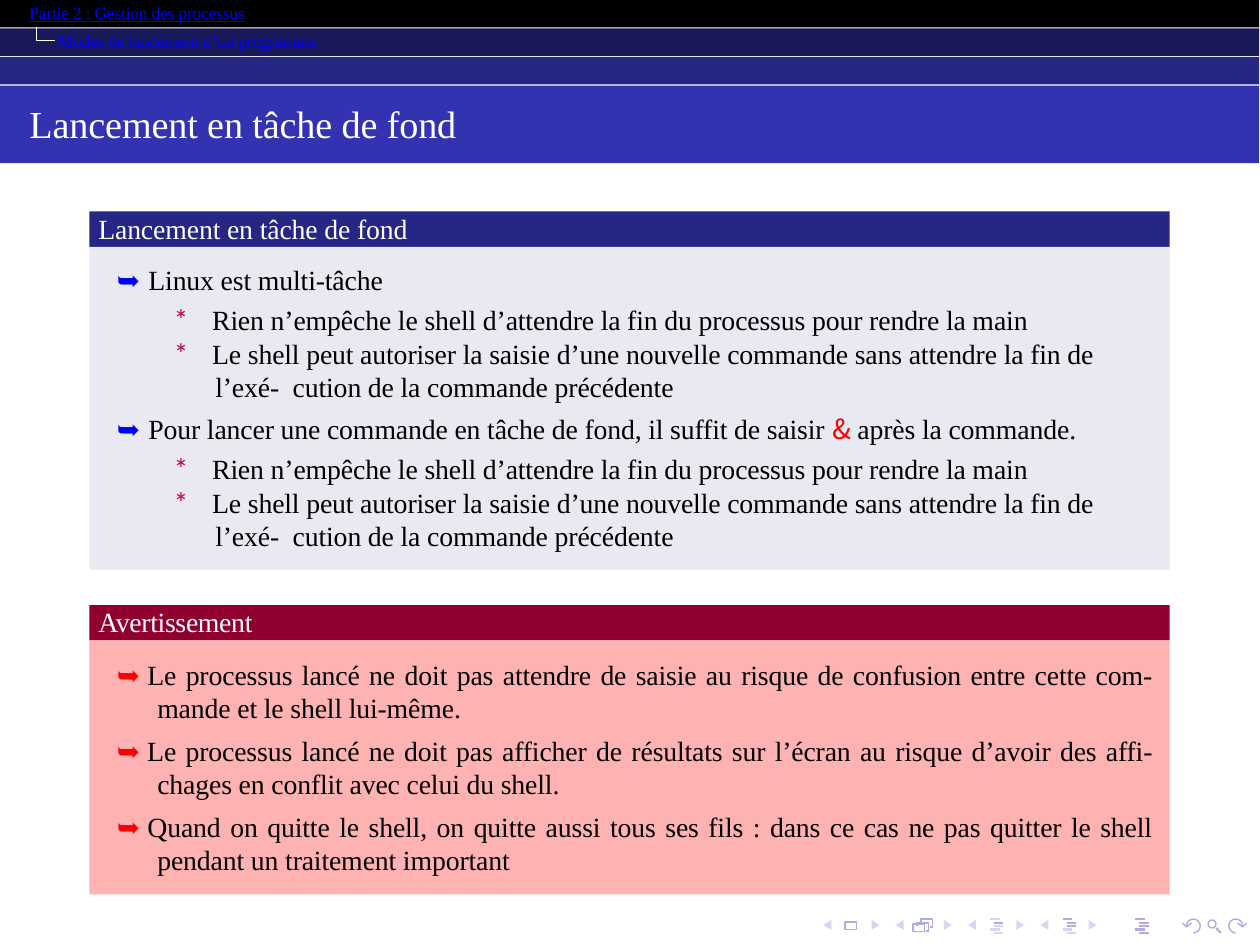
from math import cos, pi, sin

from lxml import etree
from pptx import Presentation
from pptx.dml.color import RGBColor
from pptx.enum.shapes import MSO_CONNECTOR, MSO_SHAPE
from pptx.enum.text import MSO_ANCHOR, PP_ALIGN
from pptx.oxml.ns import qn
from pptx.util import Cm, Pt

RECT, OVAL = MSO_SHAPE.RECTANGLE, MSO_SHAPE.OVAL
STRAIGHT = MSO_CONNECTOR.STRAIGHT
TOP = MSO_ANCHOR.TOP
LEFT, JUSTIFY = PP_ALIGN.LEFT, PP_ALIGN.JUSTIFY

NAV_DARK, NAV_LIGHT = "ADADE0", "D6D6EF"
SERIF, ARROW_FONT = "Times New Roman", "Noto Sans CJK JP"
# font, size, colour, letter spacing in hundredths of a point
STYLES = {
    "link": (SERIF, 5, "0000FF", -5),
    "title": (SERIF, 11, "FFFFFF", -5),
    "heading": (SERIF, 8, "FFFFFF", -5),
    "alert heading": (SERIF, 8, "FFFFFF", -10),
    "body": (SERIF, 8, "000000", -5),
    "blue arrow": (ARROW_FONT, 8, "0000FF", 25),
    "red arrow": (ARROW_FONT, 8, "FF0000", -60),
    "star": ("Lato", 8, "BF003F", 260),
    "ampersand": ("Noto Sans CJK KR", 8, "FF0000", 0),
}


def paint(sp, fill=None, line=None, width=0.4):
    sp.shadow.inherit = False
    if fill:
        sp.fill.solid()
        sp.fill.fore_color.rgb = RGBColor.from_string(fill)
    else:
        sp.fill.background()
    if line:
        sp.line.color.rgb = RGBColor.from_string(line)
        sp.line.width = Pt(width)
    else:
        sp.line.fill.background()


def write(sp, insets, paragraphs):
    """Fill sp with (runs, format) paragraphs; insets are left, top, right in cm."""
    tf = sp.text_frame
    tf.word_wrap = True
    tf.vertical_anchor = TOP
    tf.margin_left, tf.margin_top, tf.margin_right = [Cm(v) for v in insets]
    tf.margin_bottom = 0
    for i, (runs, fmt) in enumerate(paragraphs):
        p = tf.add_paragraph() if i else tf.paragraphs[0]
        p.alignment = fmt.get("align", LEFT)
        pPr = p._p.get_or_add_pPr()
        for name in ("marL", "indent"):
            pPr.set(name, str(Cm(fmt.get(name, 0))))
        for name in ("space_before", "line_spacing"):
            if name in fmt:
                setattr(p, name, Pt(fmt[name]))
        for text, style in runs:
            font, size, color, spacing = STYLES[style]
            r = p.add_run()
            r.text = text
            r.font.name, r.font.size = font, Pt(size)
            r.font.color.rgb = RGBColor.from_string(color)
            r.font.underline = True if style == "link" else None
            rPr = r._r.get_or_add_rPr()
            rPr.set("spc", str(spacing))
            etree.SubElement(rPr, qn("a:ea")).set("typeface", font)


prs = Presentation()
prs.slide_width, prs.slide_height = Pt(363), Pt(272.5)
s = prs.slides.add_slide(prs.slide_layouts[6])
shapes = s.shapes

# Bands and blocks: left, top, width, height, fill
bands = {}
for name, x, y, w, h, fill in [
    ("part", 0, 0, 12.8, 0.28, "000000"),
    ("section", 0, 0.29, 12.8, 0.28, "191959"),
    ("subsection", 0, 0.58, 12.8, 0.28, "262685"),
    ("title", 0, 0.87, 12.8, 0.79, "3333B2"),
    ("block heading", 0.91, 2.15, 10.98, 0.36, "262685"),
    ("block", 0.91, 2.51, 10.98, 3.28, "E9E9F2"),
    ("alert heading", 0.91, 6.15, 10.98, 0.36, "8F002F"),
    ("alert", 0.91, 6.51, 10.98, 2.58, "FFB2B2"),
]:
    sp = bands[name] = shapes.add_shape(RECT, Cm(x), Cm(y), Cm(w), Cm(h))
    paint(sp, fill)

# Outlines: points, closed, fill, line
outlines = [([(0.37, 0.28), (0.37, 0.41), (0.56, 0.41)], False, None, "FFFFFF")]
for i in range(4):
    for x, tip in ((8.45 + i * 0.735, -0.08), (8.86 + i * 0.735, 0.08)):
        triangle = [(x, 9.35), (x + tip, 9.4), (x, 9.45)]
        outlines.append((triangle, True, NAV_LIGHT, None))
for x, y in ((9.32, 9.38), (9.36, 9.34)):
    corner = [(x, y + 0.03), (x, y), (x + 0.12, y), (x + 0.12, y + 0.08), (x + 0.09, y + 0.08)]
    outlines.append((corner, False, None, NAV_DARK))
for x, side in ((12.13, 1), (12.56, -1)):
    angles = [pi / 2 - k * pi / 8 for k in range(13)]
    arc = [(x + side * 0.07 * cos(a), 9.41 + 0.07 * sin(a)) for a in angles]
    head = [(x - side * dx, y) for dx, y in ((0.02, 9.38), (0.07, 9.42), (0.11, 9.38))]
    outlines += [(arc, False, None, NAV_DARK), (head, False, None, NAV_DARK)]
for points, closed, fill, line in outlines:
    points = [(Cm(x), Cm(y)) for x, y in points]
    builder = shapes.build_freeform(*points[0])
    builder.add_line_segments(points[1:], close=closed)
    paint(builder.convert_to_shape(), fill, line)

for kind, x, y, w, h in [
    (RECT, 8.59, 9.37, 0.12, 0.08),
    (RECT, 9.28, 9.39, 0.12, 0.08),
    (OVAL, 12.28, 9.35, 0.08, 0.08),
]:
    paint(shapes.add_shape(kind, Cm(x), Cm(y), Cm(w), Cm(h)), line=NAV_DARK)

# Navigation text-line icons and the magnifier handle
strokes = [(12.36, 9.43, 12.41, 9.48, NAV_DARK)]
for x, dark_rows in ((10.06, (1,)), (10.8, (0, 1, 2)), (11.54, range(5))):
    for row, shift in enumerate((0, 0.04, 0.04, 0, 0.04)):
        y = 9.34 + row * 0.035
        color = NAV_DARK if row in dark_rows else NAV_LIGHT
        strokes.append((x + shift, y, x + shift + 0.1, y, color))
for x1, y1, x2, y2, color in strokes:
    c = shapes.add_connector(STRAIGHT, Cm(x1), Cm(y1), Cm(x2), Cm(y2))
    c.line.color.rgb = RGBColor.from_string(color)
    c.line.width = Pt(0.6)
    etree.SubElement(c._element.spPr, qn("a:effectLst"))

# Headings
write(bands["part"], (0.3, 0.02, 0), [([("Partie 2 : Gestion des processus", "link")], {})])
section = shapes.add_textbox(Cm(0.56), Cm(0.29), Cm(2.9), Cm(0.28))
write(section, (0.03, 0.02, 0), [([("Modes de lancement d’un programme", "link")], {})])
write(bands["title"], (0.3, 0.15, 0), [([("Lancement en tâche de fond", "title")], {})])
write(bands["alert heading"], (0.09, 0, 0), [([("Avertissement", "alert heading")], {})])

# Block text
star_items = [
    ([("* ", "star"),
      ("Rien n’empêche le shell d’attendre la fin du processus pour rendre la main", "body")],
     {"marL": 0.81, "line_spacing": 9.6, "space_before": 1.9}),
    ([("* ", "star"),
      ("Le shell peut autoriser la saisie d’une nouvelle commande sans attendre la fin de "
       "l’exé-  cution de la commande précédente", "body")],
     {"marL": 1.22, "indent": -0.41, "line_spacing": 9.5, "space_before": 0.3}),
]
block_text = shapes.add_textbox(Cm(0.97), Cm(1.93), Cm(10.87), Cm(3.78))
write(block_text, (0, 0.22, 0.3), [
    ([("Lancement en tâche de fond", "heading")], {"marL": 0.03}),
    ([("➥ ", "blue arrow"), ("Linux est multi-tâche", "body")],
     {"marL": 0.22, "space_before": 5.2}),
    *star_items,
    ([("➥ ", "blue arrow"),
      ("Pour lancer une commande en tâche de fond, il suffit de saisir ", "body"),
      ("& ", "ampersand"), ("après la commande.", "body")],
     {"marL": 0.22, "space_before": 2.5}),
    *star_items,
])

warnings = [
    "Le processus lancé ne doit pas attendre de saisie au risque de confusion entre cette com-  "
    "mande et le shell lui-même.",
    "Le processus lancé ne doit pas afficher de résultats sur l’écran au risque d’avoir des affi-  "
    "chages en conflit avec celui du shell.",
    "Quand on quitte le shell, on quitte aussi tous ses fils : dans ce cas ne pas quitter le shell  "
    "pendant un traitement important",
]
warning_format = {"marL": 0.69, "indent": -0.41, "line_spacing": 9.5,
                  "space_before": 2.9, "align": JUSTIFY}
write(bands["alert"], (0, 0.18, 0.07),
      [([("➥ ", "red arrow"), (text, "body")], warning_format) for text in warnings])

prs.save("out.pptx")
